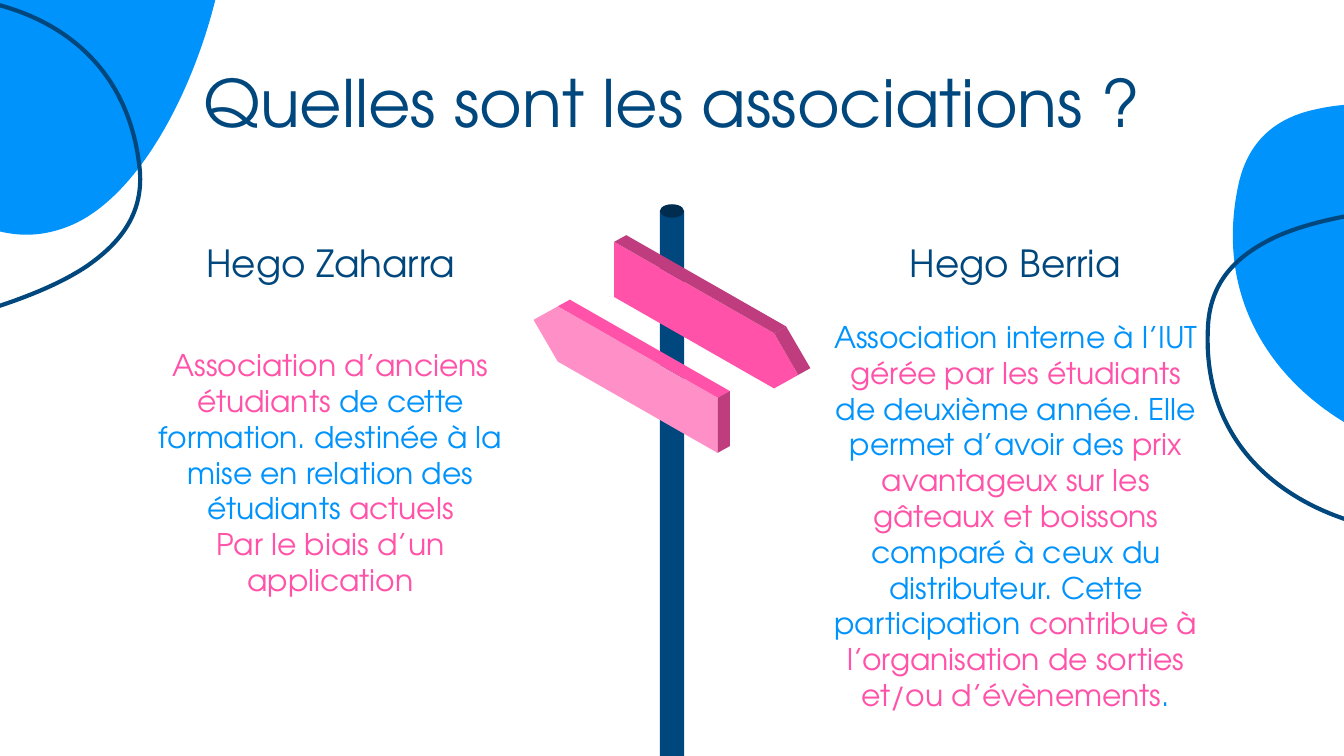
from dataclasses import dataclass
from math import cos, radians, sin

from pptx import Presentation
from pptx import util as u
from pptx.dml.color import RGBColor
from pptx.enum import shapes, text
from pptx.oxml.ns import qn
from pptx.oxml.xmlchemy import OxmlElement

PX = 9144  # EMU in one px, 100 px to the inch


@dataclass(frozen=True)
class Theme:
    font: str = "TeX Gyre Adventor"
    navy: str = "00477D"
    night: str = "002D4F"
    blue: str = "0093FC"
    pink: str = "FF52A8"
    rose: str = "FF8FC7"
    plum: str = "BF3D7E"
    title: int = 35
    heading: int = 20
    body: int = 16
    outline: float = 2.25


T = Theme()

# Closed Bezier outlines: a start point, then three points for each curve,
# given as they stand when turned by TILT degrees
FILLED_TILT, LOOP_TILT = 347.8, 336
FILLED = [
    (1516, -82), (1509, -80), (1502, -78), (1496, -74), (1413, -33), (1401, 64), (1278, 91),
    (1262, 94), (1245, 96), (1226, 97), (1150, 100), (1045, 66), (980, 81),
    (950, 87), (928, 104), (921, 139), (893, 275), (1026, 347), (1094, 340),
    (1098, 340), (1102, 339), (1106, 338), (1161, 326), (1258, 267), (1330, 251),
    (1348, 247), (1365, 246), (1379, 249), (1508, 279), (1542, 407), (1633, 387),
    (1721, 368), (1807, 187), (1787, 108), (1769, 34), (1615, -103), (1516, -82),
]
LOOP = [
    (1473, -104), (1466, -101), (1459, -97), (1453, -92), (1375, -34), (1379, 60), (1257, 114),
    (1242, 121), (1224, 127), (1205, 133), (1127, 154), (1014, 147), (949, 176),
    (919, 190), (899, 210), (898, 245), (892, 379), (1042, 413), (1110, 391),
    (1114, 390), (1118, 388), (1122, 386), (1177, 362), (1266, 283), (1338, 251),
    (1356, 243), (1373, 238), (1388, 238), (1526, 234), (1582, 345), (1673, 305),
    (1760, 266), (1818, 77), (1784, 8), (1753, -56), (1571, -148), (1473, -104),
]


def rgb(color):
    return RGBColor.from_string(color)


def place(sp, box):
    sp.left, sp.top, sp.width, sp.height = (u.Emu(v * PX) for v in box)


def paint(sp, fill=None, line=None):
    sp.shadow.inherit = False
    if fill:
        sp.fill.solid()
        sp.fill.fore_color.rgb = rgb(fill)
    else:
        sp.fill.background()
    if line:
        sp.line.color.rgb = rgb(line)
        sp.line.width = u.Pt(T.outline)
    else:
        sp.line.fill.background()


def polygon(s, points, **paints):
    emu = [(round(x * PX), round(y * PX)) for x, y in points]
    builder = s.shapes.build_freeform(*emu[0])
    builder.add_line_segments(emu[1:], close=True)
    sp = builder.convert_to_shape()
    paint(sp, **paints)
    return sp


def bend(sp):
    """Turn every three straight segments into one cubic Bezier curve."""
    path = sp._element.find(".//" + qn("a:path"))
    lines = path.findall(qn("a:lnTo"))
    for i in range(0, len(lines), 3):
        curve = OxmlElement("a:cubicBezTo")
        lines[i].addprevious(curve)
        for line in lines[i:i + 3]:
            curve.append(line[0])
            path.remove(line)


def blob(s, box, outline, tilt, rotation, **paints):
    c, n = cos(radians(tilt)), sin(radians(tilt))
    sp = polygon(s, [(x * c + y * n, y * c - x * n) for x, y in outline], **paints)
    bend(sp)
    place(sp, box)
    sp.rotation = rotation


def corner(s, filled_box, filled_turn, loop_box, loop_turn):
    blob(s, filled_box, FILLED, FILLED_TILT, filled_turn, fill=T.blue)
    blob(s, loop_box, LOOP, LOOP_TILT, loop_turn, line=T.navy)


def write(sp, box, paragraphs, size, anchor):
    """Fill a placeholder with paragraphs, each a list of (text, colour) runs."""
    place(sp, box)
    tf = sp.text_frame
    tf.word_wrap = True
    tf.auto_size = text.MSO_AUTO_SIZE.NONE
    tf.vertical_anchor = anchor
    tf.margin_left = tf.margin_right = tf.margin_top = tf.margin_bottom = u.Inches(0.1)
    for i, runs in enumerate(paragraphs):
        p = tf.add_paragraph() if i else tf.paragraphs[0]
        pPr = p._p.get_or_add_pPr()
        pPr.set("marL", "0")
        pPr.set("indent", "0")
        pPr.append(OxmlElement("a:buNone"))
        p.alignment = text.PP_ALIGN.CENTER
        p.space_before = u.Pt(0)
        p.line_spacing = 1.0
        for words, color in runs:
            r = p.add_run()
            r.text = words
            r.font.name, r.font.size, r.font.bold = T.font, u.Pt(size), False
            r.font.color.rgb = rgb(color)


def association(heading, body, heading_box, body_box, name, paragraphs):
    write(heading, heading_box, [[(name, T.navy)]], T.heading, text.MSO_ANCHOR.BOTTOM)
    write(body, body_box, paragraphs, T.body, text.MSO_ANCHOR.TOP)


def arrow_sign(s, left, top, faces):
    for color, points in faces:
        polygon(s, [(left + x, top + y) for x, y in points], fill=color)


def signpost(s, left, top):
    # Pole and its cap
    for kind, box, color in (
        (shapes.MSO_SHAPE.RECTANGLE, (left + 94, top + 5, 18, 663), T.navy),
        (shapes.MSO_SHAPE.OVAL, (left + 94, top, 18, 10), T.night),
    ):
        sp = s.shapes.add_shape(kind, *(u.Emu(v * PX) for v in box))
        paint(sp, fill=color)
    # Sign pointing right: front, top and tip
    arrow_sign(s, left + 60, top + 23, [
        (T.pink, [(0, 5), (0, 46), (119, 114), (137, 104), (119, 73)]),
        (T.plum, [(9, 0), (0, 5), (119, 73), (128, 68)]),
        (T.plum, [(128, 68), (119, 73), (137, 104), (146, 99)]),
    ])
    # Sign pointing left: front, top and end
    arrow_sign(s, left, top + 71, [
        (T.rose, [(18, 5), (0, 15), (18, 46), (137, 114), (137, 73)]),
        (T.pink, [(27, 0), (18, 5), (137, 73), (146, 68)]),
        (T.plum, [(146, 68), (137, 73), (137, 114), (146, 109)]),
    ])


def main():
    prs = Presentation()
    prs.slide_width = u.Emu(1000 * PX)
    prs.slide_height = u.Emu(prs.slide_width * 9 // 16)
    s = prs.slides.add_slide(prs.slide_layouts.get_by_name("Comparison"))
    title, left_head, left_body, right_head, right_body = s.placeholders

    # Corner decoration
    corner(s, (-719, -214, 912, 483), 339.7, (-812, 12, 968, 455), 146.1)
    corner(s, (888, -39, 912, 483), 347.8, (860, -25, 968, 455), 336)

    # Title and the two associations
    write(title, (126, 46, 748, 59), [[("Quelles sont les associations ?", T.navy)]],
          T.title, text.MSO_ANCHOR.MIDDLE)
    association(left_head, left_body, (130, 163, 232, 59), (94, 248, 304, 154), "Hego Zaharra", [
        [("Association d’anciens étudiants ", T.pink),
         ("de cette formation. destinée à la mise en relation des étudiants ", T.blue),
         ("actuels", T.pink)],
        [("Par le biais d’un application", T.pink)],
    ])
    association(right_head, right_body, (663, 163, 185, 59), (606, 227, 300, 290), "Hego Berria", [
        [("Association interne à l’IUT ", T.blue),
         ("gérée par les étudiants ", T.pink),
         ("de deuxième année. Elle permet d’avoir des ", T.blue),
         ("prix avantageux sur les gâteaux et boissons", T.pink),
         (" comparé à ceux du distributeur. Cette participation ", T.blue),
         ("contribue à l’organisation de sorties et/ou d’évènements", T.pink),
         (".", T.blue)],
    ])

    # Signpost between them
    signpost(s, 397, 152)
    prs.save("out.pptx")


if __name__ == "__main__":
    main()
